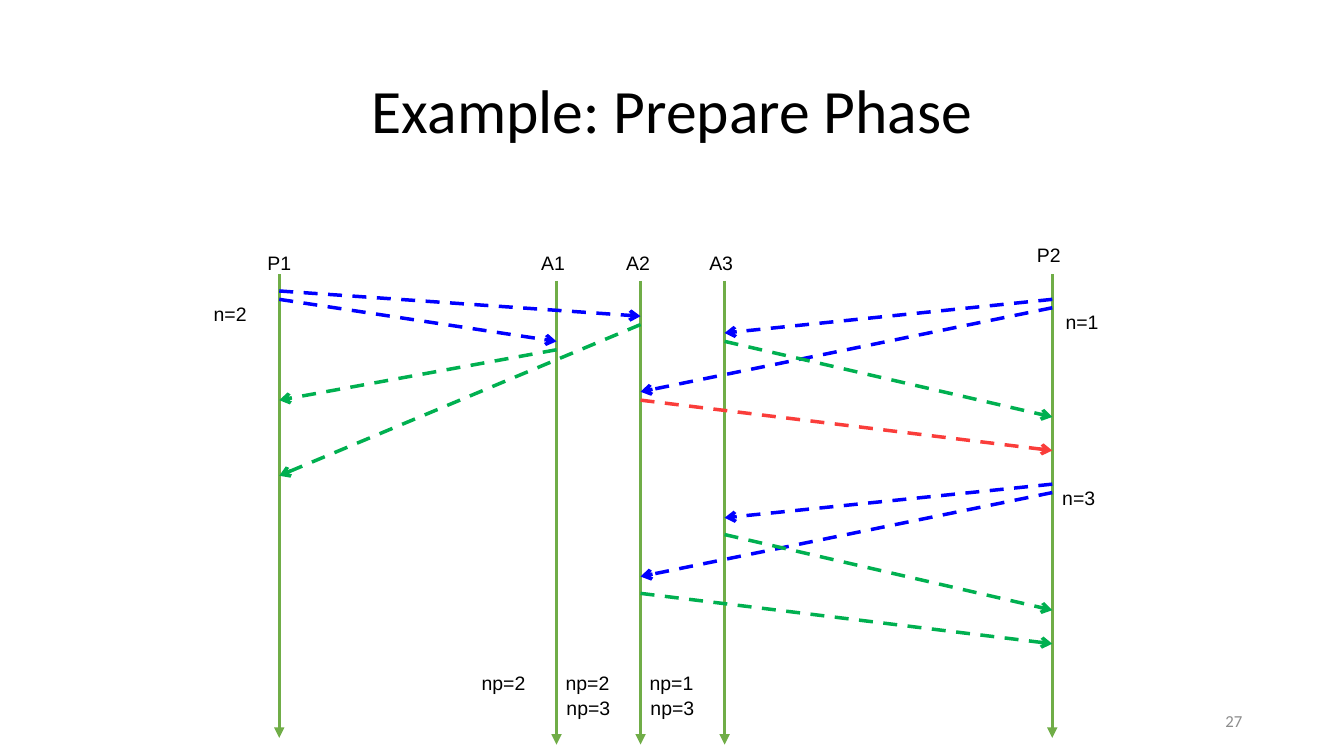
from pptx import Presentation
from pptx.dml.color import RGBColor
from pptx.enum.dml import MSO_LINE
from pptx.enum.shapes import MSO_CONNECTOR
from pptx.enum.text import MSO_ANCHOR, MSO_AUTO_SIZE, PP_ALIGN
from pptx.oxml.ns import qn
from pptx.util import Inches, Pt
from lxml import etree

STRAIGHT = MSO_CONNECTOR.STRAIGHT
DASH = MSO_LINE.DASH
MIDDLE = MSO_ANCHOR.MIDDLE
FIT = MSO_AUTO_SIZE.SHAPE_TO_FIT_TEXT
CENTER, RIGHT = PP_ALIGN.CENTER, PP_ALIGN.RIGHT

BLACK, GREY, LIFELINE = "000000", "8C8C8C", "70AD47"
REQUEST, PROMISE, REJECT = "0000FF", "00B050", "FA3D3A"

# Time grid: twelve columns and rows to the inch, from the top of P1
LEFT, TOP, UNIT = 2.77, 2.72, 1 / 12
COLS = {"P1": 0, "A1": 33, "A2": 43, "A3": 53, "P2": 92}

# Per process: label column offset, label row, first row of the lifeline
PROCESSES = {
    "P1": (-2.6, -6, 0),
    "P2": (-3, -7, 0),
    "A1": (-3, -6, 0.8),
    "A2": (-2.9, -6, 0.8),
    "A3": (-3, -6, 0.8),
}
LIFE_ROWS = 55.2

# Sender, row sent, receiver, row received, colour
MESSAGES = [
    ("P1", 2, "A2", 5, REQUEST),
    ("P1", 3, "A1", 8, REQUEST),
    ("A2", 6, "P1", 24, PROMISE),
    ("A1", 9, "P1", 15, PROMISE),
    ("P2", 4, "A2", 14, REQUEST),
    ("P2", 3, "A3", 7, REQUEST),
    ("A3", 8, "P2", 17, PROMISE),
    ("A2", 15, "P2", 21, REJECT),
    ("P2", 26, "A2", 36, REQUEST),
    ("P2", 25, "A3", 29, REQUEST),
    ("A3", 31, "P2", 40, PROMISE),
    ("A2", 38, "P2", 44, PROMISE),
]

# Text, column, row, width in inches
NUMBERS = [
    ("n=2", -9, 0, 0.79),
    ("n=1", 92.4, 1, 0.79),
    ("n=3", 92, 22, 0.79),
    ("np=2", 22.9, 44, 0.93),
    ("np=2", 32.9, 44, 0.93),
    ("np=1", 42.9, 44, 0.93),
    ("np=3", 33, 47, 0.93),
    ("np=3", 43, 47, 0.93),
]


def rgb(color):
    return RGBColor.from_string(color)


def grid_x(col):
    return Inches(LEFT + col * UNIT)


def grid_y(row):
    return Inches(TOP + row * UNIT)


def add_text(s, text, box, size, font, color):
    tf = s.shapes.add_textbox(*box).text_frame
    tf.word_wrap = True
    p = tf.paragraphs[0]
    p.add_run().text = text
    p.font.size = Pt(size)
    p.font.name = font
    p.font.color.rgb = rgb(color)
    return tf


def add_label(s, text, col, row, width):
    """Lowered small text whose box fits its content."""
    box = grid_x(col), grid_y(row), Inches(width), Inches(0.5)
    tf = add_text(s, text, box, 24, "Arial", BLACK)
    tf.word_wrap = False
    tf.auto_size = FIT
    r = tf.paragraphs[0].runs[0]
    r.font.size = Pt(24)
    r.font._element.set("baseline", "-25000")


def add_arrow(s, start, end, color, head, dash=None):
    c = s.shapes.add_connector(STRAIGHT, grid_x(start[0]), grid_y(start[1]),
                               grid_x(end[0]), grid_y(end[1]))
    c.line.color.rgb = rgb(color)
    c.line.width = Pt(2.5)
    if dash is not None:
        c.line.dash_style = dash
    ln = c.line._get_or_add_ln()
    etree.SubElement(ln, qn("a:tailEnd"), type=head)
    etree.SubElement(c._element.spPr, qn("a:effectLst"))


def main():
    prs = Presentation()
    prs.slide_width, prs.slide_height = Inches(13.33), Inches(7.5)
    s = prs.slides.add_slide(prs.slide_layouts[6])

    # Title
    box = [Inches(v) for v in (0.92, 0.4, 11.5, 1.45)]
    tf = add_text(s, "Example: Prepare Phase", box, 44, "Calibri", BLACK)
    tf.vertical_anchor = MIDDLE
    tf.paragraphs[0].alignment = CENTER
    tf.paragraphs[0].line_spacing = 0.9

    # Lifelines and their names
    for name, (offset, label_row, first_row) in PROCESSES.items():
        col = COLS[name]
        add_arrow(s, (col, first_row), (col, first_row + LIFE_ROWS), LIFELINE, "triangle")
        add_label(s, name, col + offset, label_row, 0.56)

    # Messages between proposers and acceptors
    for sender, sent, receiver, received, color in MESSAGES:
        add_arrow(s, (COLS[sender], sent), (COLS[receiver], received), color, "arrow", DASH)

    # Proposal numbers
    for number in NUMBERS:
        add_label(s, *number)

    # Slide number
    box = [Inches(v) for v in (9.42, 6.95, 3, 0.4)]
    tf = add_text(s, "27", box, 12, "Calibri", GREY)
    tf.vertical_anchor = MIDDLE
    tf.paragraphs[0].alignment = RIGHT

    prs.save("out.pptx")


if __name__ == "__main__":
    main()
